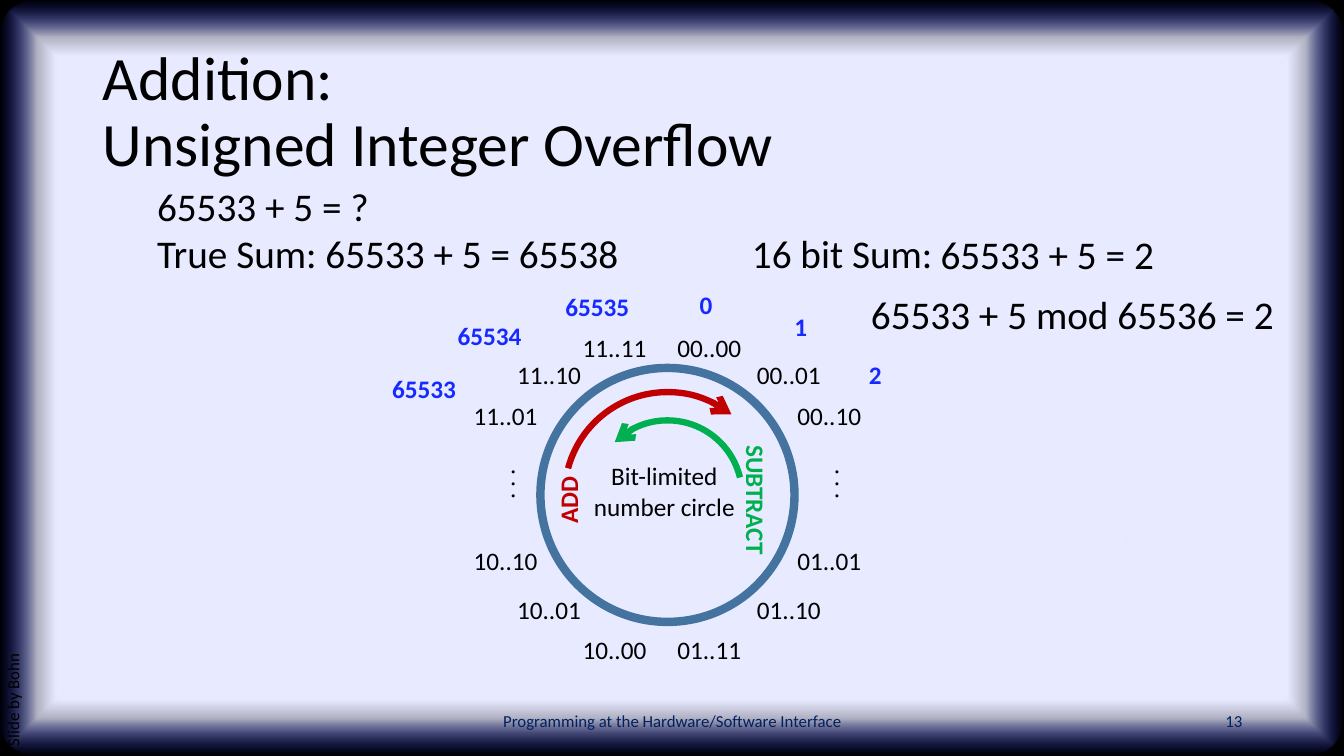
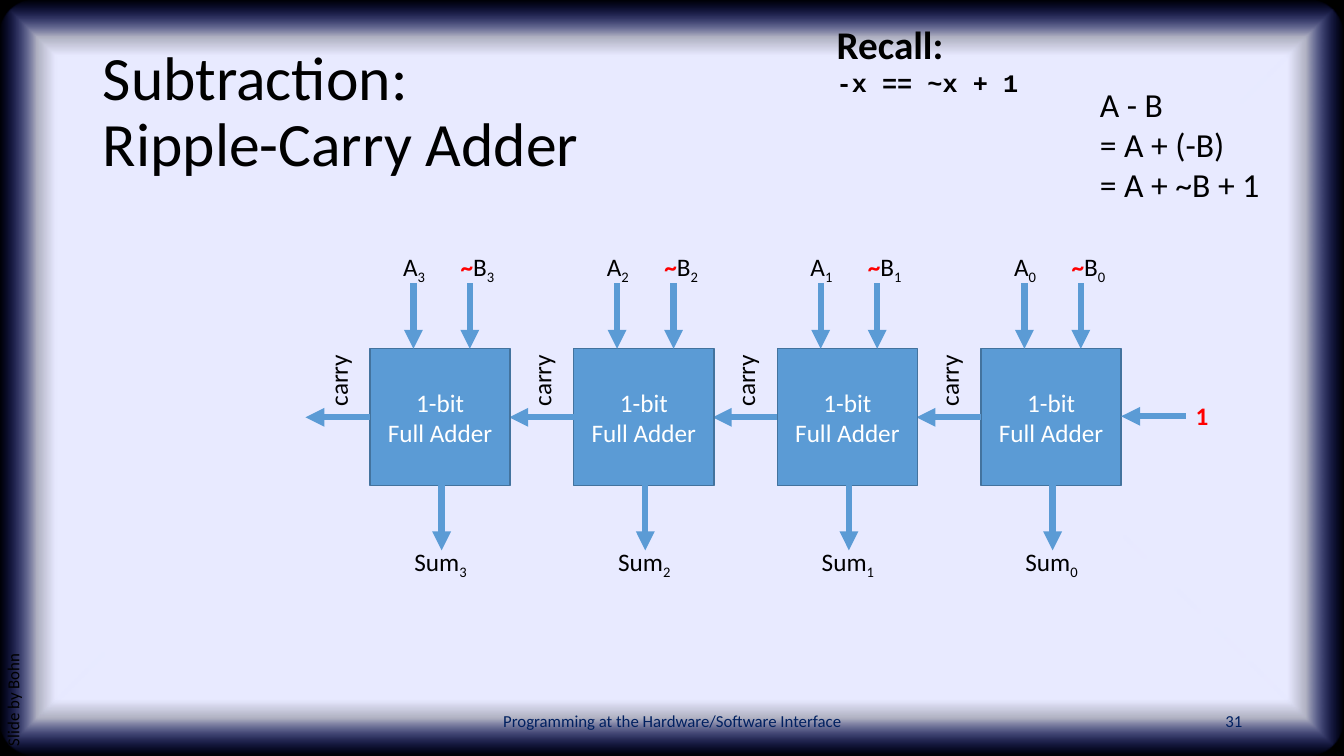
from lxml.etree import SubElement
from pptx import Presentation
from pptx.dml.color import RGBColor
from pptx.enum.shapes import MSO_CONNECTOR as Link, MSO_SHAPE as Kind
from pptx.enum.text import MSO_ANCHOR as Anchor, MSO_AUTO_SIZE as Fit, PP_ALIGN as Align
from pptx.oxml import parse_xml
from pptx.oxml.ns import nsdecls, qn
from pptx.util import Pt

PX = 9144
WIDTH, HEIGHT = 1333, 750
BLACK, WHITE, NAVY, RED = "000000", "FFFFFF", "002060", "FF0000"
PALE, BLUE, STEEL, SKY = "E8EAFF", "162AFF", "43739E", "5B9BD5"
CRIMSON, GREEN = "C00000", "00B050"
SUBSCRIPT = {"baseline": "-25000"}


def px(*lengths):
    """Turn px lengths into EMU."""
    return [round(length * PX) for length in lengths]


def assign(target, values):
    """Set each attribute named in a dict."""
    for name, value in values.items():
        setattr(target, name, value)


def paint(color_format, color):
    """Give a fill, line or font colour its hex value."""
    color_format.rgb = RGBColor.from_string(color)


def write(frame, paras, size=18, color=BLACK, bold=False, font="Calibri", para_format=None):
    """Fill a text frame; each paragraph is a string or a list of (text, overrides)."""
    for number, content in enumerate(paras):
        para = frame.paragraphs[0] if number == 0 else frame.add_paragraph()
        assign(para, para_format or {})
        spans = [(content, {})] if isinstance(content, str) else content
        for text, changes in spans:
            for index, line in enumerate(text.split("\v")):
                if index:
                    para.add_line_break()
                span = para.add_run()
                span.text = line
                look = {"size": size, "color": color, "bold": bold, "font": font} | changes
                assign(span.font, {"size": Pt(look["size"]), "bold": look["bold"],
                                   "name": look["font"]})
                paint(span.font.color, look["color"])
                if "baseline" in look:
                    span._r.get_or_add_rPr().set("baseline", look["baseline"])


def label(page, box, paras, wrap=False, fit=Fit.SHAPE_TO_FIT_TEXT, anchor=Anchor.TOP,
          rotation=0, **style):
    """Place a text box."""
    shape = page.shapes.add_textbox(*px(*box))
    shape.rotation = rotation
    assign(shape.text_frame, {"word_wrap": wrap, "auto_size": fit, "vertical_anchor": anchor})
    write(shape.text_frame, [paras] if isinstance(paras, str) else paras, **style)
    return shape


def figure(page, kind, box, fill=None, line=None, weight=1):
    """Place a preset shape without shadow."""
    shape = page.shapes.add_shape(kind, *px(*box))
    shape.shadow.inherit = False
    if fill:
        shape.fill.solid()
        paint(shape.fill.fore_color, fill)
    else:
        shape.fill.background()
    if line:
        shape.line.width = Pt(weight)
        paint(shape.line.color, line)
    else:
        shape.line.fill.background()
    return shape


def arrowhead(shape, end, kind):
    """Add an arrowhead to one end of an outline."""
    SubElement(shape.element.spPr.get_or_add_ln(), qn(f"a:{end}End")).set("type", kind)


def arrow(page, start, end):
    """Draw a thick straight arrow."""
    link = page.shapes.add_connector(Link.STRAIGHT, *px(*start, *end))
    link.line.width = Pt(4.5)
    paint(link.line.color, SKY)
    arrowhead(link, "tail", "triangle")
    SubElement(link.element.spPr, qn("a:effectLst"))


def arc_arrow(page, box, degrees, color, end):
    """Draw an arc between two angles with an open arrowhead."""
    arc = figure(page, Kind.ARC, box, line=color, weight=4.5)
    for index, angle in enumerate(degrees):
        arc.adjustments[index] = angle * 0.6
    arrowhead(arc, end, "arrow")


def backdrop(page, layout):
    """Draw the glowing frame and move it behind everything on the layout."""
    full = (0, 0, WIDTH, HEIGHT)
    base = figure(page, Kind.RECTANGLE, full, fill=BLACK)
    glow = figure(page, Kind.ROUNDED_RECTANGLE, full)
    glow.adjustments[0] = 0.05
    stops = "".join(
        f'<a:gs pos="{place}000"><a:srgbClr val="{color}"><a:alpha val="{alpha}000"/>'
        "</a:srgbClr></a:gs>"
        for place, color, alpha in ((85, PALE, 100), (90, PALE, 75), (100, BLUE, 0)))
    gradient = parse_xml(
        f'<a:gradFill {nsdecls("a")} rotWithShape="1"><a:gsLst>{stops}</a:gsLst>'
        '<a:path path="shape"><a:fillToRect l="50000" t="50000" r="50000" b="50000"/>'
        "</a:path></a:gradFill>")
    properties = glow.element.spPr
    properties.replace(properties.find(qn("a:noFill")), gradient)
    for index, shape in enumerate((base, glow)):
        shape.element.nvSpPr.cNvPr.id = 100 + index
        layout.shapes.element.insert(2 + index, shape.element)


def new_page(deck, layout, title, number):
    """Add a page with its title, footer, number and side credit."""
    page = deck.slides.add_slide(layout)
    heading = page.shapes.title
    assign(heading, dict(zip(("left", "top", "width", "height"), px(92, 40, 1150, 145))))
    assign(heading.text_frame, {"word_wrap": True, "auto_size": Fit.NONE,
                                "vertical_anchor": Anchor.MIDDLE})
    write(heading.text_frame, [title], size=44,
          para_format={"alignment": Align.LEFT, "line_spacing": 0.9})
    small = {"size": 12, "wrap": True, "fit": Fit.NONE}
    for left, width, text, align in (
            (442, 450, "Programming at the Hardware/Software Interface", Align.CENTER),
            (942, 300, str(number), Align.RIGHT)):
        label(page, (left, 695, width, 40), text, anchor=Anchor.MIDDLE, color=NAVY,
              para_format={"alignment": align}, **small)
    label(page, (-244, 466, 528, 40), "Slide by Bohn", rotation=270,
          para_format={"line_spacing": 0.9}, **small)
    return page


def number_circle(page, left, top, size):
    """Draw the circle of bit patterns with its values and direction arcs."""
    label(page, (left + 35, top + 87, 176, 71), ["Bit-limited", "number circle"], wrap=True,
          para_format={"alignment": Align.CENTER})
    figure(page, Kind.OVAL, (left, top, size, size), line=STEEL, weight=6)
    rows = (-40, -13, 27, 171, 220, 259)
    sides = (
        ((126, 205, 245), "00..00 00..01 00..10 01..01 01..10 01..11"),
        ((32, -33, -76), "11..11 11..10 11..01 10..10 10..01 10..00"))
    for columns, patterns in sides:
        for x, y, bits in zip(columns + columns[::-1], rows, patterns.split()):
            label(page, (left + x, top + y, 84, 40), bits)
    for x in (-61, 260):
        label(page, (left + x, top + 95, 51, 40), ". . .", rotation=270)
    for inset, degrees, color, end in (
            (24, (195, 308.5), CRIMSON, "tail"), (52, (225, 346.5), GREEN, "head")):
        span = size - 2 * inset
        arc_arrow(page, (left + inset, top + inset, span, span), degrees, color, end)
    for x, y, width, text, color, turn in (
            (-6, 111, 67, "ADD", CRIMSON, 270), (149, 112, 130, "SUBTRACT", GREEN, 90)):
        label(page, (left + x, top + y, width, 40), text, rotation=turn, color=color, bold=True)
    for x, y, width, value in (
            (-157, 0, 84, "65533"), (-92, -52, 84, "65534"), (15, -81, 84, "65535"),
            (148, -83, 33, "0"), (242, -61, 33, "1"), (316, -13, 33, "2")):
        label(page, (left + x, top + y, width, 40), value, color=BLUE, bold=True)


def overflow_page(deck, layout):
    """Build the page on unsigned overflow."""
    page = new_page(deck, layout, "Addition:\vUnsigned Integer Overflow", 13)
    number_circle(page, 536, 365, 252)
    for x, y, width, text in (
            (146, 176, 233, "65533 + 5 = ?"),
            (146, 223, 484, "True Sum: 65533 + 5 = 65538"),
            (736, 223, 201, "16 bit Sum:"),
            (923, 224, 235, "65533 + 5 = 2"),
            (854, 283, 426, "65533 + 5 mod 65536 = 2")):
        label(page, (x, y, width, 57), text, size=28)
    return page


def full_adder(page, left, top, bit):
    """Draw one adder with its inputs, sum and outgoing carry."""
    box = figure(page, Kind.RECTANGLE, (left, top, 139, 136), fill=SKY, line=STEEL)
    assign(box.text_frame, {"word_wrap": True, "vertical_anchor": Anchor.MIDDLE})
    centred = {"alignment": Align.CENTER}
    write(box.text_frame, ["1-bit\vFull Adder"], color=WHITE, para_format=centred)
    for x in (43, 99):
        arrow(page, (left + x, top - 65), (left + x, top))
    arrow(page, (left + 71, top + 135), (left + 71, top + 200))
    arrow(page, (left, top + 68), (left - 64, top + 68))
    index = (str(bit), SUBSCRIPT)
    inverse = ("~", {"color": RED, "bold": True})
    for x, y, width, spans in (
            (23, -102, 43, [("A", {}), index]),
            (80, -102, 55, [inverse, ("B", {}), index]),
            (33, 191, 74, [("Sum", {}), index])):
        label(page, (left + x, top + y, width, 40), [spans],
              para_format=centred if y > 0 else None)
    label(page, (left - 68, top + 11, 72, 40), "carry", rotation=270)


def adder_page(deck, layout):
    """Build the page on the ripple-carry adder."""
    page = new_page(deck, layout, "Subtraction:\vRipple-Carry Adder", 31)
    right, top, pitch = 973, 346, 202
    for bit in range(4):
        full_adder(page, right - bit * pitch, top, bit)
    arrow(page, (right + 203, top + 67), (right + 139, top + 67))
    label(page, (right + 203, top + 46, 33, 40), "1", color=RED, bold=True)
    recall = label(page, (770, 15, 252, 88),
                   ["Recall:", [("-x == ~x + 1", {"size": 18, "font": "Courier New"})]],
                   size=28, bold=True)
    for para in recall.text_frame.paragraphs:
        para._p.get_or_add_pPr().set("marL", str(50 * PX))
    label(page, (1081, 78, 224, 131), ["A - B", "= A + (-B)", "= A + ~B + 1"],
          wrap=True, size=24)


def main():
    """Build and save the deck."""
    deck = Presentation()
    deck.slide_width, deck.slide_height = px(WIDTH, HEIGHT)
    layout = deck.slide_layouts[5]
    first = overflow_page(deck, layout)
    backdrop(first, layout)
    adder_page(deck, layout)
    deck.save("out.pptx")


if __name__ == "__main__":
    main()
